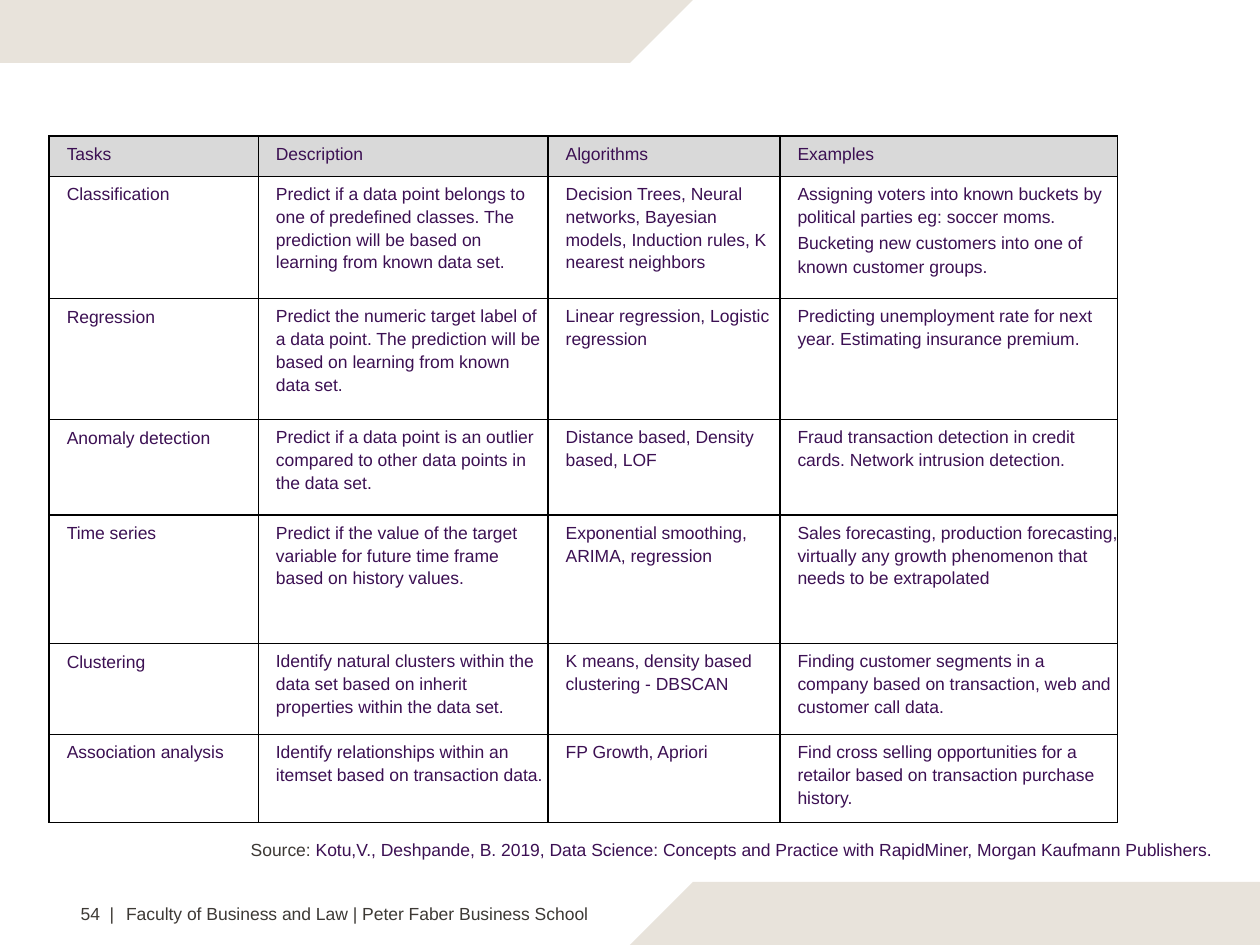
import pptx
import pptx.util
import pptx.dml.color
import pptx.oxml
import pptx.oxml.ns
from pptx.util import Inches

COLORS = {"band": "E8E3DB", "header": "D9D9D9", "border": "000000",
          "purple": "3C1053", "gray": "3D3935"}


def rgb(name):
    return pptx.dml.color.RGBColor.from_string(COLORS[name])


def add_text(para, text, color="purple", line_spacing=None, space_before=None):
    span = para.add_run()
    span.text = text
    span.font.name = "Arial"
    span.font.size = pptx.util.Pt(10)
    span.font.color.rgb = rgb(color)
    if line_spacing is not None:
        para.line_spacing = line_spacing
    if space_before is not None:
        para.space_before = space_before


deck = pptx.Presentation()
deck.slide_width, deck.slide_height = Inches(10), Inches(7.5)
page = deck.slides.add_slide(deck.slide_layouts[6])

# Slanted bands at top left and bottom right
bands = [
    [(0, 0), (5.5, 0), (5, 0.5), (0, 0.5)],
    [(10, 7), (5.5, 7), (5, 7.5), (10, 7.5)],
]
for corners in bands:
    points = [(Inches(x), Inches(y)) for x, y in corners]
    builder = page.shapes.build_freeform(*points[0], scale=1.0)
    builder.add_line_segments(points[1:], close=True)
    band = builder.convert_to_shape()
    band.shadow.inherit = False
    band.fill.solid()
    band.fill.fore_color.rgb = rgb("band")
    band.line.fill.background()

# Table of data science tasks; a line break in a cell starts a new paragraph
rows = [
    ("Tasks", "Description", "Algorithms", "Examples"),
    ("Classification",
     "Predict if a data point belongs to one of predefined classes. "
     "The prediction will be based on learning from known data set.",
     "Decision Trees, Neural networks, Bayesian models, Induction rules, K nearest neighbors",
     "Assigning voters into known buckets by political parties eg: soccer moms.\n"
     "Bucketing new customers into one of known customer groups."),
    ("Regression",
     "Predict the numeric target label of a data point. "
     "The prediction will be based on learning from known data set.",
     "Linear regression, Logistic regression",
     "Predicting unemployment rate for next year. Estimating insurance premium."),
    ("Anomaly detection",
     "Predict if a data point is an outlier compared to other data points in the data set.",
     "Distance based, Density based, LOF",
     "Fraud transaction detection in credit cards. Network intrusion detection."),
    ("Time series",
     "Predict if the value of the target variable for future time frame "
     "based on history values.",
     "Exponential smoothing, ARIMA, regression",
     "Sales forecasting, production forecasting, virtually any growth phenomenon "
     "that needs to be extrapolated"),
    ("Clustering",
     "Identify natural clusters within the data set based on inherit "
     "properties within the data set.",
     "K means, density based clustering - DBSCAN",
     "Finding customer segments in a company based on transaction, web "
     "and customer call data."),
    ("Association analysis",
     "Identify relationships within an itemset based on transaction data.",
     "FP Growth, Apriori",
     "Find cross selling opportunities for a retailor based on transaction purchase history."),
]
widths = [1.66, 2.3, 1.84, 2.68]
heights = [0.32, 0.97, 0.96, 0.76, 1.02, 0.72, 0.7]

table = page.shapes.add_table(len(rows), len(widths), Inches(0.39), Inches(1.08),
                              Inches(sum(widths)), Inches(sum(heights))).table
table.first_row = table.horz_banding = False
for column, width in zip(table.columns, widths):
    column.width = Inches(width)
for row, height in zip(table.rows, heights):
    row.height = Inches(height)

for r, texts in enumerate(rows):
    for c, text in enumerate(texts):
        cell = table.cell(r, c)
        is_label = r == 0 or c == 0
        cell.margin_left = Inches(0.14)
        cell.margin_right = cell.margin_bottom = 0
        cell.margin_top = Inches(0.07 if is_label else 0.04)

        # Borders come before the fill in the cell properties
        properties = cell._tc.get_or_add_tcPr()
        for side in ("lnL", "lnR", "lnT", "lnB"):
            properties.append(pptx.oxml.parse_xml(
                f'<a:{side} {pptx.oxml.ns.nsdecls("a")} w="12700"><a:solidFill>'
                f'<a:srgbClr val="{COLORS["border"]}"/></a:solidFill></a:{side}>'))
        if r == 0:
            cell.fill.solid()
            cell.fill.fore_color.rgb = rgb("header")
        else:
            cell.fill.background()

        first, *others = text.split("\n")
        add_text(cell.text_frame.paragraphs[0], first,
                 line_spacing=None if is_label else 1.17)
        for other in others:
            add_text(cell.text_frame.add_paragraph(), other,
                     line_spacing=pptx.util.Pt(14.2), space_before=pptx.util.Pt(0.6))

# Source line and footer
captions = [
    ((1.99, 6.66, 7.64, 0.18), [],
     [("Source: ", "gray"),
      ("Kotu,V., Deshpande, B. 2019, Data Science: Concepts and Practice with "
       "RapidMiner, Morgan Kaufmann Publishers.", "purple")]),
    ((0.64, 7.17, 4.08, 0.18), [0.23, 0.36],
     [("54\t|\tFaculty of Business and Law | Peter Faber Business School", "gray")]),
]
for place, tabs, spans in captions:
    box = page.shapes.add_textbox(*map(Inches, place))
    frame = box.text_frame
    frame.word_wrap = True
    frame.margin_left = frame.margin_right = frame.margin_top = frame.margin_bottom = 0
    para = frame.paragraphs[0]
    if tabs:
        stops = "".join(f'<a:tab pos="{Inches(stop)}" algn="l"/>' for stop in tabs)
        para._p.get_or_add_pPr().append(pptx.oxml.parse_xml(
            f'<a:tabLst {pptx.oxml.ns.nsdecls("a")}>{stops}</a:tabLst>'))
    for text, color in spans:
        add_text(para, text, color=color)

deck.save("out.pptx")
